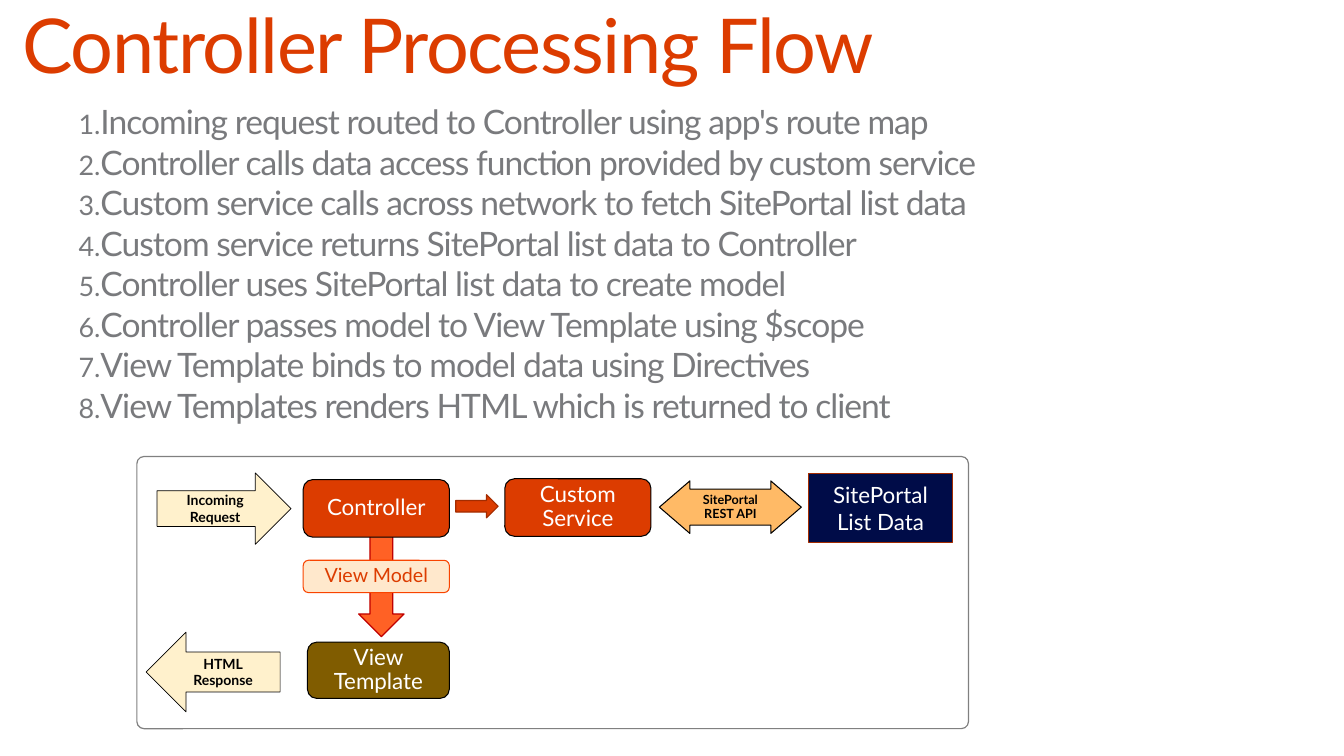
from dataclasses import dataclass

from lxml import etree
from pptx import Presentation
from pptx.dml.color import RGBColor
from pptx.enum.shapes import MSO_SHAPE
from pptx.enum.text import MSO_ANCHOR, MSO_AUTO_SIZE, PP_ALIGN
from pptx.oxml.ns import qn
from pptx.util import Inches, Pt

BOX, ROUND = MSO_SHAPE.RECTANGLE, MSO_SHAPE.ROUNDED_RECTANGLE
LEFT, RIGHT = MSO_SHAPE.LEFT_ARROW, MSO_SHAPE.RIGHT_ARROW
DOWN, BOTH = MSO_SHAPE.DOWN_ARROW, MSO_SHAPE.LEFT_RIGHT_ARROW
TOP, MIDDLE = MSO_ANCHOR.TOP, MSO_ANCHOR.MIDDLE
START, CENTER = PP_ALIGN.LEFT, PP_ALIGN.CENTER
FIXED = MSO_AUTO_SIZE.NONE
COLS, ROWS = 32, 18
WIDE, TIGHT = (0.15, 0.12), (0.1, 0.05)


@dataclass(frozen=True)
class Theme:
    """Colours and type sizes of the slide."""
    face: str = "Lato"
    white: str = "FFFFFF"
    black: str = "000000"
    grey: str = "797A7D"
    edge: str = "808080"
    red: str = "DC3C00"
    rust: str = "A32C00"
    flame: str = "FF6125"
    blood: str = "C00000"
    olive: str = "805C00"
    navy: str = "000C48"
    cream: str = "FFF1CC"
    amber: str = "FFBA66"
    peach: str = "FFE8CC"
    coral: str = "F94400"
    title: int = 54
    body: int = 24
    node: int = 16
    model: int = 14
    flow: int = 10
    link: int = 9


class Page:
    """Draws styled elements on the grid of one slide."""

    def __init__(self, deck, theme):
        """Add a title and body slide to the deck."""
        self.theme = theme
        self.col, self.row = deck.slide_width / COLS, deck.slide_height / ROWS
        self.slide = deck.slides.add_slide(deck.slide_layouts[1])

    def area(self, x, y, w, h):
        """Turn grid columns and rows into lengths."""
        return [round(n) for n in
                (x * self.col, y * self.row, w * self.col, h * self.row)]

    def font(self, para, size, color, bold=False, track=0):
        """Style a whole paragraph."""
        font = para.font
        font.name, font.size, font.bold = self.theme.face, Pt(size), bold
        font.color.rgb = RGBColor.from_string(color)
        if track:
            para._p.pPr.find(qn("a:defRPr")).set("spc", str(track))

    def frame(self, shape, pad, anchor):
        """Set the margins and anchor of a text frame."""
        frame = shape.text_frame
        frame.word_wrap, frame.vertical_anchor = True, anchor
        frame.margin_left = frame.margin_right = Inches(pad[0])
        frame.margin_top = frame.margin_bottom = Inches(pad[1])
        return frame

    def holder(self, shape, place, text):
        """Move and fill a template placeholder."""
        shape.left, shape.top, shape.width, shape.height = self.area(*place)
        frame = self.frame(shape, (0, 0), TOP)
        frame.auto_size = FIXED
        frame.text = text
        for para in frame.paragraphs:
            para.alignment, para.line_spacing = START, 0.9
        return frame.paragraphs

    def title(self, place, text):
        """Fill the title."""
        for para in self.holder(self.slide.shapes.title, place, text):
            self.font(para, self.theme.title, self.theme.red, track=-100)

    def steps(self, place, lines):
        """Fill the body with a numbered list."""
        body = self.slide.placeholders[1]
        for i, para in enumerate(self.holder(body, place, "\n".join(lines))):
            para.space_before = Pt(3 if i else 0)
            props = para._p.get_or_add_pPr()
            props.set("marL", "0")
            props.set("indent", str(-Inches(0.56)))
            etree.SubElement(props, qn("a:buSzPct"), val="80000")
            etree.SubElement(props, qn("a:buFont"), typeface="+mj-lt")
            etree.SubElement(props, qn("a:buAutoNum"), type="arabicPeriod")
            self.font(para, self.theme.body, self.theme.grey, track=-70)

    def group(self):
        """Start the group that holds the diagram."""
        self.chart = self.slide.shapes.add_group_shape()

    def shape(self, kind, place, fill, line, width, adjust=()):
        """Add a plain preset shape."""
        shape = self.chart.shapes.add_shape(kind, *self.area(*place))
        shape.shadow.inherit = False
        shape.fill.solid()
        shape.fill.fore_color.rgb = RGBColor.from_string(fill)
        shape.line.color.rgb = RGBColor.from_string(line)
        shape.line.width = Pt(width)
        for i, value in enumerate(adjust):
            shape.adjustments[i] = value
        return shape

    def label(self, shape, text, size, color, bold=False, pad=WIDE):
        """Write centred text into a shape."""
        frame = self.frame(shape, pad, MIDDLE)
        frame.text = text
        for para in frame.paragraphs:
            para.alignment = CENTER
            para.line_spacing = 0.9 if pad == WIDE else 1.0
            self.font(para, size, color, bold)

    def node(self, place, text, fill):
        """Add a rounded component box."""
        shape = self.shape(ROUND, place, fill, self.theme.black, 0.75)
        self.label(shape, text, self.theme.node, self.theme.white)

    def flow(self, kind, place, text):
        """Add a labelled client arrow."""
        look = self.theme
        shape = self.shape(kind, place, look.cream, look.black, 0.5)
        self.label(shape, text, look.flow, look.black, True, TIGHT)


def main():
    """Build the slide and save it."""
    deck = Presentation()
    deck.slide_width, deck.slide_height = Inches(13.33), Inches(7.5)
    look = Theme()
    page = Page(deck, look)
    page.title((0.53, 0.19, 30.12, 2.21), "Controller Processing Flow")
    page.steps((1.87, 2.52, 28.68, 13.6), [
        "Incoming request routed to Controller using app's route map",
        "Controller calls data access function provided by custom service",
        "Custom service calls across network to fetch SitePortal list data",
        "Custom service returns SitePortal list data to Controller",
        "Controller uses SitePortal list data to create model",
        "Controller passes model to View Template using $scope",
        "View Template binds to model data using Directives",
        "View Templates renders HTML which is returned to client",
    ])

    page.group()
    page.shape(ROUND, (3.26, 10.87, 19.8, 6.48), look.white, look.edge,
               0.85, [0.026])
    page.shape(DOWN, (8.54, 12.62, 1.08, 2.54), look.flame, look.blood, 0.85)
    page.node((7.22, 11.42, 3.48, 1.37), "Controller", look.red)
    page.node((7.32, 15.29, 3.38, 1.34), "View Template", look.olive)
    page.node((12.02, 11.4, 3.48, 1.37), "Custom Service", look.red)
    page.flow(RIGHT, (3.74, 11.26, 3.19, 1.7), "Incoming Request")

    store = page.shape(BOX, (19.25, 11.28, 3.43, 1.63), look.navy,
                       look.rust, 0.5)
    page.label(store, "SitePortal\nList Data", look.node, look.white,
               pad=TIGHT)
    link = page.shape(BOTH, (15.7, 11.45, 3.38, 1.25), look.amber,
                      look.black, 0.75, [0.69, 0.581])
    page.label(link, "SitePortal REST API", look.link, look.black, True)

    page.flow(LEFT, (3.48, 15.05, 3.19, 1.9), "HTML\nResponse")
    model = page.shape(ROUND, (7.22, 13.34, 3.48, 0.77), look.peach,
                       look.coral, 0.75)
    page.label(model, "View Model", look.model, look.red)
    page.shape(RIGHT, (10.85, 11.78, 1.01, 0.55), look.red, look.rust, 0.85)
    deck.save("out.pptx")


if __name__ == "__main__":
    main()
